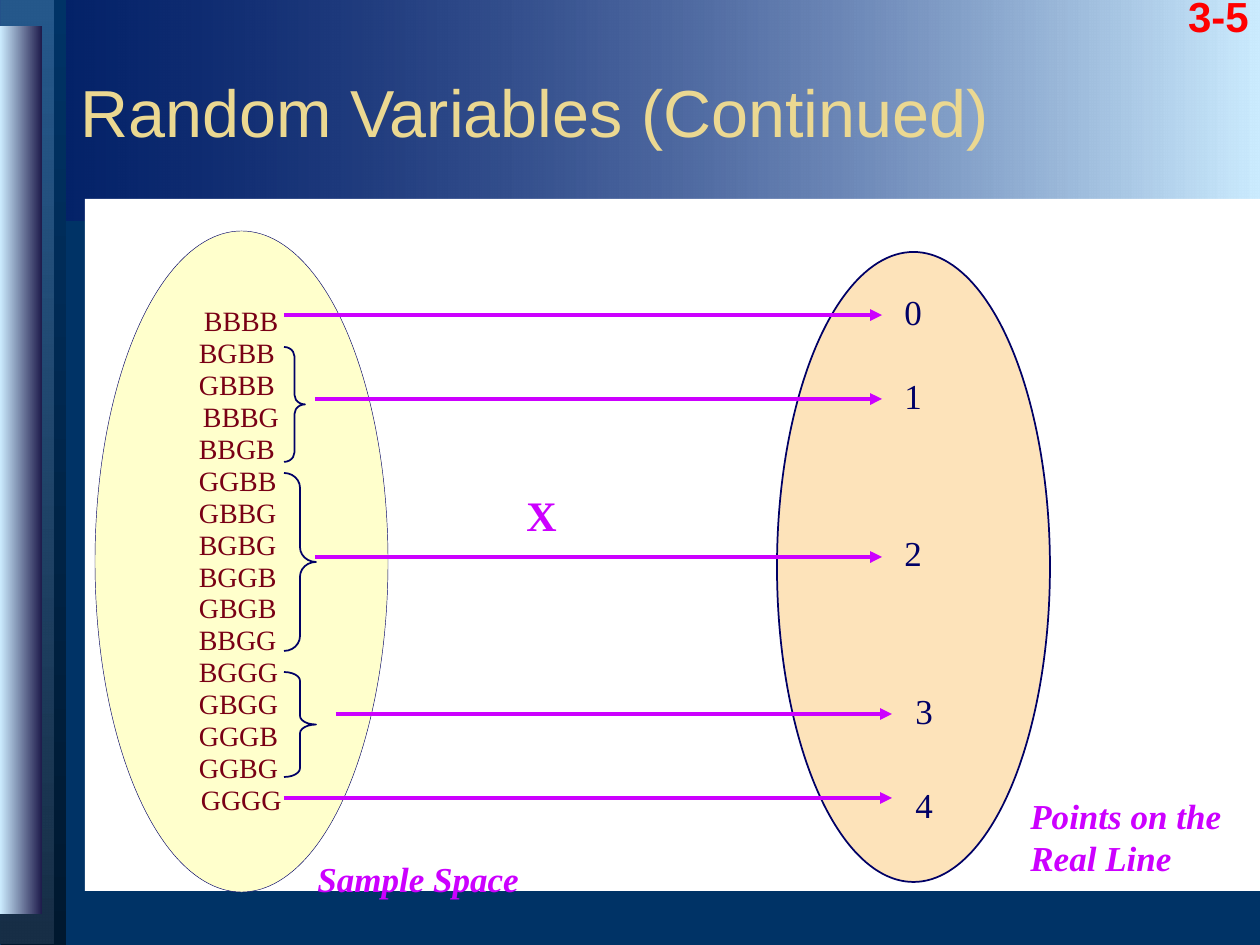
"""Build the slide that maps a sample space to points on the real line."""
from typing import NamedTuple, Optional

from lxml.etree import SubElement
from pptx import Presentation
from pptx.dml.color import RGBColor
from pptx.enum.shapes import MSO_CONNECTOR, MSO_SHAPE
from pptx.enum.text import MSO_ANCHOR, PP_ALIGN
from pptx.oxml.ns import qn
from pptx.util import Emu, Pt

PX = 914400 / 126
SERIF = "Times New Roman"
SANS = "Arial"
COLORS = {
    "background": "003366", "navy": "000066", "sky": "CCECFF", "midnight": "00182F",
    "steel": "336699", "slate": "182F47", "indigo": "1E1B4B", "white": "FFFFFF",
    "red": "FF0000", "gold": "EBD891", "cream": "FFFFCC", "peach": "FDE3BA",
    "maroon": "790015", "magenta": "CC00FF",
}


class Box(NamedTuple):
    left: int
    top: int
    width: int
    height: int


class Band(NamedTuple):
    box: Box
    start: str
    end: str
    angle: int
    opacity: int = 100


class Label(NamedTuple):
    text: str
    box: Box
    size: int
    color: str
    font: str = SERIF
    bold: bool = False
    italic: bool = False
    align: PP_ALIGN = PP_ALIGN.LEFT


class Mapping(NamedTuple):
    value: str
    outcomes: list[str]
    start: int
    end: int
    y: int
    value_left: int
    value_top: int
    brace: Optional[Box] = None


BANDS = [
    Band(Box(0, 0, 1260, 221), "navy", "sky", 0, 38),
    Band(Box(1, 0, 65, 945), "background", "midnight", 270),
    Band(Box(-2, -1, 55, 945), "steel", "slate", 270, 73),
    Band(Box(0, 26, 42, 888), "sky", "indigo", 0),
]
MAPPINGS = [
    Mapping("0", ["BBBB"], 284, 882, 315, 892, 284),
    Mapping("1", ["BGBB", "GBBB", "BBBG", "BBGB"], 315, 882, 399, 892, 368,
            Box(284, 347, 21, 115)),
    Mapping("2", ["GGBB", "GBBG", "BGBG", "BGGB", "GBGB", "BBGG"], 315, 882, 557, 892, 525,
            Box(284, 473, 32, 178)),
    Mapping("3", ["BGGG", "GBGG", "GGGB", "GGBG"], 336, 892, 714, 903, 683,
            Box(284, 672, 32, 105)),
    Mapping("4", ["GGGG"], 284, 892, 798, 903, 777),
]
OUTCOME_INDENTS = {"BBBB": 5, "BBBG": 4, "GGGG": 2}
PAGE_NUMBER = Label("3-5", Box(1171, -16, 95, 71), 24, "red", SANS, True, align=PP_ALIGN.CENTER)
LABELS = [
    Label("X", Box(514, 483, 95, 63), 24, "magenta", bold=True),
    Label("Sample Space", Box(305, 851, 231, 55), 20, "magenta", bold=True, italic=True),
    Label("Points on the Real Line", Box(1018, 788, 242, 97), 20, "magenta",
          bold=True, italic=True),
]


def px(n: float) -> Emu:
    return Emu(round(n * PX))


def rgb(name: str) -> RGBColor:
    return RGBColor.from_string(COLORS[name])


def style_runs(p, size: int, color: str, font: str, bold: bool = False, italic: bool = False):
    for r in p.runs:
        r.font.size, r.font.name = Pt(size), font
        r.font.bold, r.font.italic = bold, italic
        r.font.color.rgb = rgb(color)


def add_shape(slide, kind: MSO_SHAPE, box: Box, fill: Optional[str] = None,
              line: Optional[str] = None, weight: float = 1):
    sp = slide.shapes.add_shape(kind, *map(px, box))
    sp.shadow.inherit = False
    if fill:
        sp.fill.solid()
        sp.fill.fore_color.rgb = rgb(fill)
    else:
        sp.fill.background()
    if line:
        sp.line.color.rgb = rgb(line)
        sp.line.width = Pt(weight)
    else:
        sp.line.fill.background()
    return sp


def add_band(slide, band: Band) -> None:
    sp = add_shape(slide, MSO_SHAPE.RECTANGLE, band.box)
    sp.fill.gradient()
    sp.fill.gradient_angle = band.angle
    for stop, name, position in zip(sp.fill.gradient_stops, (band.start, band.end), (0, 1)):
        stop.color.rgb = rgb(name)
        stop.position = position
    if band.opacity < 100:
        first = next(sp._element.iter(qn("a:srgbClr")))
        SubElement(first, qn("a:alpha"), val=str(band.opacity * 1000))


def add_label(slide, label: Label) -> None:
    tf = slide.shapes.add_textbox(*map(px, label.box)).text_frame
    tf.word_wrap = True
    tf.text = label.text
    p = tf.paragraphs[0]
    p.alignment = label.align
    style_runs(p, label.size, label.color, label.font, label.bold, label.italic)


def add_title(slide, text: str) -> None:
    sp = slide.shapes.title
    sp.left, sp.top, sp.width, sp.height = map(px, Box(68, 32, 1168, 157))
    slide.shapes._spTree.append(sp._element)
    tf = sp.text_frame
    tf.text = text
    tf.vertical_anchor = MSO_ANCHOR.MIDDLE
    tf.paragraphs[0].alignment = PP_ALIGN.LEFT
    style_runs(tf.paragraphs[0], 38, "gold", SANS)


def add_sample_space(slide, outcomes: list[str]) -> None:
    sp = add_shape(slide, MSO_SHAPE.OVAL, Box(95, 231, 293, 661), "cream", "navy", 0.25)
    tf = sp.text_frame
    tf.word_wrap = True
    tf.vertical_anchor = MSO_ANCHOR.MIDDLE
    tf.margin_left, tf.margin_right = px(61), 0
    tf.text = "\n".join(outcomes)
    for p in tf.paragraphs:
        p.alignment = PP_ALIGN.LEFT
        p.line_spacing = 0.95
        p._p.get_or_add_pPr().set("marL", str(px(OUTCOME_INDENTS.get(p.text, 0))))
        style_runs(p, 16, "maroon", SERIF)


def add_arrow(slide, start: int, end: int, y: int) -> None:
    c = slide.shapes.add_connector(MSO_CONNECTOR.STRAIGHT, px(start), px(y), px(end), px(y))
    c.line.color.rgb = rgb("magenta")
    c.line.width = Pt(2.25)
    SubElement(c.line._get_or_add_ln(), qn("a:tailEnd"), type="triangle")
    SubElement(c._element.spPr, qn("a:effectLst"))


def add_mapping(slide, m: Mapping) -> None:
    if m.brace:
        sp = add_shape(slide, MSO_SHAPE.RIGHT_BRACE, m.brace, line="navy")
        sp.adjustments[0] = m.brace.height / 12 / m.brace.width
    add_arrow(slide, m.start, m.end, m.y)
    add_label(slide, Label(m.value, Box(m.value_left, m.value_top, 63, 55), 20, "navy"))


def main() -> None:
    prs = Presentation()
    prs.slide_width, prs.slide_height = px(1260), px(945)
    slide = prs.slides.add_slide(prs.slide_layouts[5])
    slide.background.fill.solid()
    slide.background.fill.fore_color.rgb = rgb("background")
    for band in BANDS:
        add_band(slide, band)
    add_shape(slide, MSO_SHAPE.RECTANGLE, Box(85, 199, 1175, 692), "white")
    add_label(slide, PAGE_NUMBER)
    add_title(slide, "Random Variables (Continued)")
    add_sample_space(slide, [outcome for m in MAPPINGS for outcome in m.outcomes])
    add_shape(slide, MSO_SHAPE.OVAL, Box(777, 252, 273, 630), "peach", "navy")
    for m in MAPPINGS:
        add_mapping(slide, m)
    for label in LABELS:
        add_label(slide, label)
    prs.save("out.pptx")


if __name__ == "__main__":
    main()
